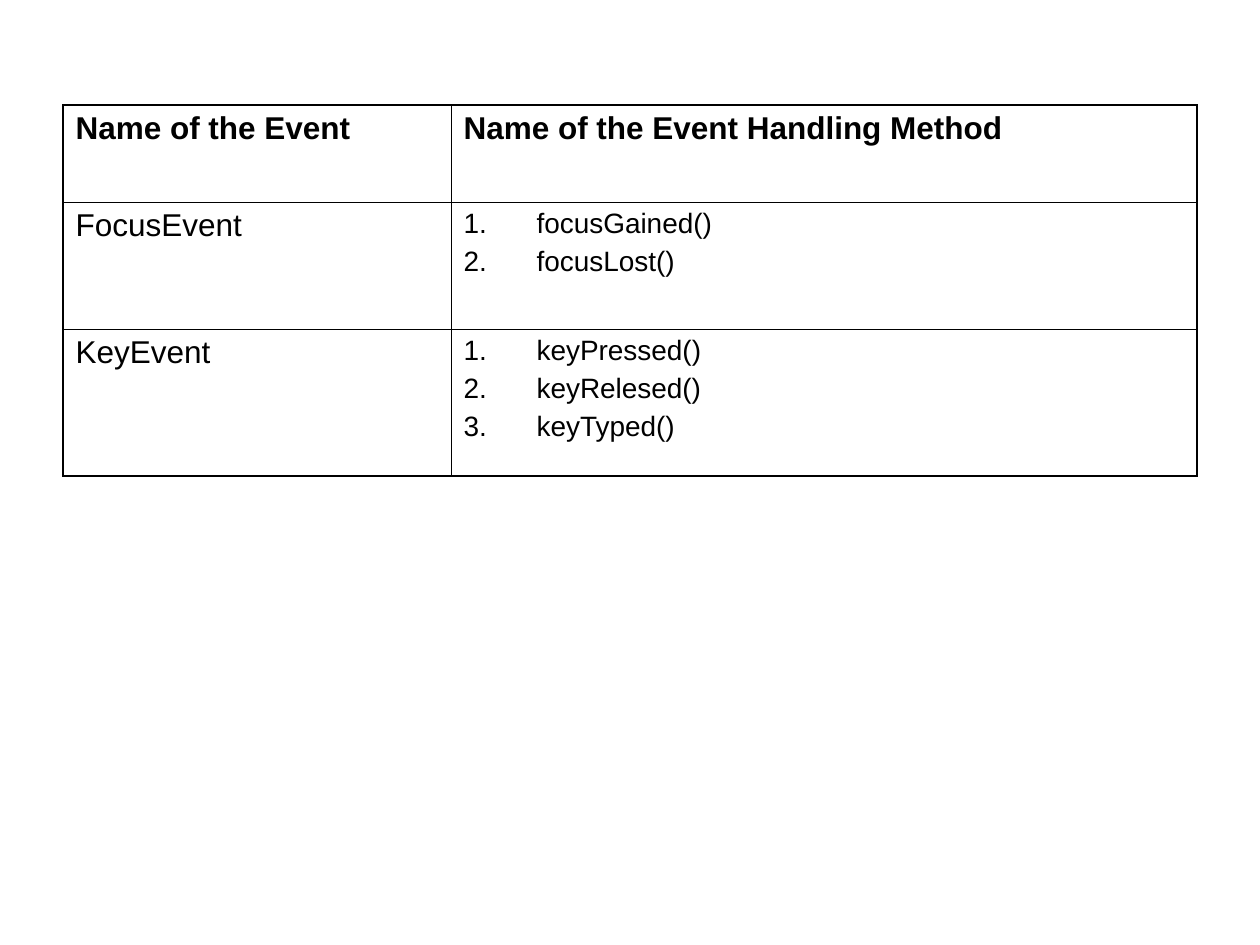
from dataclasses import dataclass

from lxml import etree
from pptx import Presentation
from pptx.dml.color import RGBColor
from pptx.enum.text import MSO_ANCHOR
from pptx.oxml.ns import qn
from pptx.util import Emu, Pt

TOP = MSO_ANCHOR.TOP
PX = 914400 // 126
BLANK_LAYOUT = 6


@dataclass(frozen=True)
class Theme:
    font: str = "Arial"
    ink: str = "000000"
    event_size: float = 18
    method_size: float = 16
    method_gap: float = 4
    outer_line: float = 1.08
    inner_line: float = 0.45
    number_indent: int = 73


class EventSlide:
    def __init__(self, presentation, theme):
        self.theme = theme
        self.slide = presentation.slides.add_slide(
            presentation.slide_layouts[BLANK_LAYOUT])

    def table(self, left, top, widths, heights, rows):
        """Draw a header row, then rows of an event and its numbered methods."""
        table = self.slide.shapes.add_table(
            len(rows), len(widths), Emu(left * PX), Emu(top * PX),
            Emu(sum(widths) * PX), Emu(sum(heights) * PX)).table
        table.first_row = table.horz_banding = False
        for column, width in zip(table.columns, widths):
            column.width = Emu(width * PX)
        for row, height in zip(table.rows, heights):
            row.height = Emu(height * PX)
        last_row, last_column = len(rows) - 1, len(widths) - 1
        for r, contents in enumerate(rows):
            for c, content in enumerate(contents):
                cell = table.cell(r, c)
                cell.vertical_anchor = TOP
                self.borders(cell, {"lnL": c == 0, "lnR": c == last_column,
                                    "lnT": r == 0, "lnB": r == last_row})
                cell.fill.background()
                if isinstance(content, list):
                    self.numbered(cell.text_frame, content)
                else:
                    self.text(cell.text_frame.paragraphs[0], content,
                              self.theme.event_size, bold=r == 0)

    def borders(self, cell, outer_sides):
        properties = cell._tc.get_or_add_tcPr()
        for side, is_outer in outer_sides.items():
            width = self.theme.outer_line if is_outer else self.theme.inner_line
            line = etree.SubElement(properties, qn(f"a:{side}"), w=str(Pt(width)))
            fill = etree.SubElement(line, qn("a:solidFill"))
            etree.SubElement(fill, qn("a:srgbClr"), val=self.theme.ink)

    def numbered(self, frame, methods):
        indent = self.theme.number_indent * PX
        for i, method in enumerate(methods):
            paragraph = frame.add_paragraph() if i else frame.paragraphs[0]
            properties = paragraph._p.get_or_add_pPr()
            properties.set("marL", str(indent))
            properties.set("indent", str(-indent))
            color = etree.SubElement(properties, qn("a:buClr"))
            etree.SubElement(color, qn("a:srgbClr"), val=self.theme.ink)
            etree.SubElement(properties, qn("a:buAutoNum"), type="arabicPeriod")
            if i:
                paragraph.space_before = Pt(self.theme.method_gap)
            self.text(paragraph, method, self.theme.method_size)

    def text(self, paragraph, words, size, bold=False):
        run = paragraph.add_run()
        run.text = words
        style = {"name": self.theme.font, "size": Pt(size), "bold": bold}
        for attribute, value in style.items():
            setattr(run.font, attribute, value)
        run.font.color.rgb = RGBColor.from_string(self.theme.ink)


def main():
    presentation = Presentation()
    presentation.slide_width = Emu(1260 * PX)
    presentation.slide_height = Emu(945 * PX)
    events = EventSlide(presentation, Theme())
    events.table(63, 105, widths=[388, 746], heights=[97, 127, 147], rows=[
        ["Name of the Event", "Name of the Event Handling Method"],
        ["FocusEvent", ["focusGained()", "focusLost()"]],
        ["KeyEvent", ["keyPressed()", "keyRelesed()", "keyTyped()"]],
    ])
    presentation.save("out.pptx")


if __name__ == "__main__":
    main()
